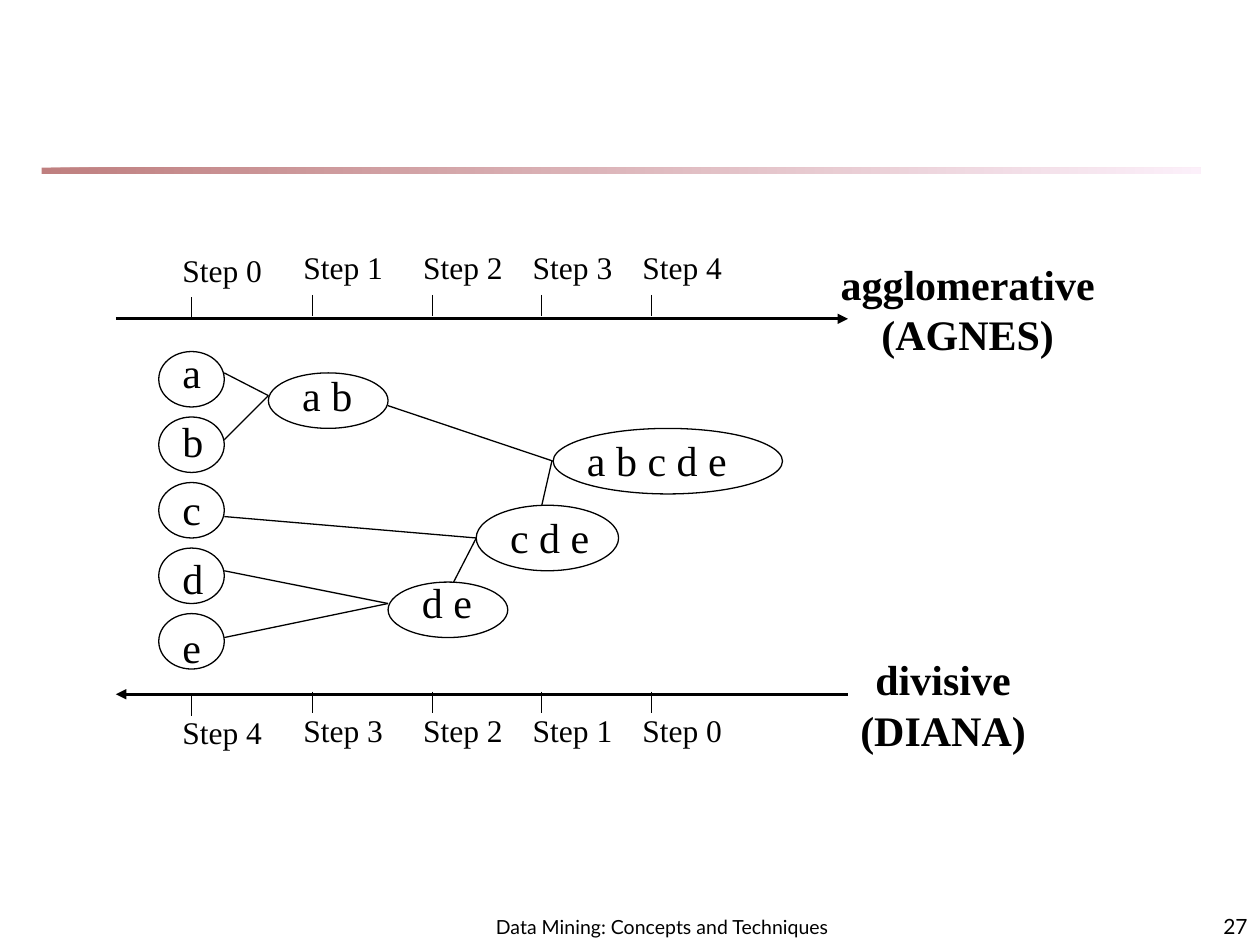
from pptx import Presentation
from pptx.dml.color import RGBColor
from pptx.enum.shapes import MSO_CONNECTOR, MSO_SHAPE
from pptx.enum.text import MSO_ANCHOR, PP_ALIGN
from pptx.oxml.ns import qn
from pptx.util import Inches, Pt
from lxml import etree

LEFT, CENTER, RIGHT = PP_ALIGN.LEFT, PP_ALIGN.CENTER, PP_ALIGN.RIGHT
TOP, BOTTOM = MSO_ANCHOR.TOP, MSO_ANCHOR.BOTTOM
STRAIGHT = MSO_CONNECTOR.STRAIGHT
OVAL, RECTANGLE = MSO_SHAPE.OVAL, MSO_SHAPE.RECTANGLE

BLACK = RGBColor(0x00, 0x00, 0x00)
MAROON = RGBColor(0x80, 0x00, 0x00)
PALE_PINK = RGBColor(0xFA, 0xE2, 0xF6)
SERIF, SANS = "Times New Roman", "Lato"

STEP_XS = [1.52, 2.48, 3.43, 4.3, 5.17]
FIRST_STEP_DROP = 0.02
LABEL_INDENT = 0.17
CLUSTERS = [
    ("a b", (2.13, 2.96, 0.95, 0.44), 2.88),
    ("d e", (3.08, 4.62, 0.95, 0.44), 4.53),
    ("c d e", (3.78, 4.01, 1.13, 0.52), 4.01),
    ("a b c d e", (4.39, 3.4, 1.82, 0.52), 3.4),
]
MERGES = [
    ((1.78, 2.96), (2.13, 3.14)),
    ((1.78, 3.49), (2.13, 3.14)),
    ((1.78, 4.53), (3.08, 4.79)),
    ((1.78, 5.06), (3.08, 4.79)),
    ((1.78, 4.1), (3.78, 4.27)),
    ((3.6, 4.62), (3.78, 4.27)),
    ((3.08, 3.22), (4.39, 3.66)),
    ((4.3, 4.01), (4.38, 3.66)),
]


def add_text(slide, box, text, size=24, font=SERIF, bold=False, align=LEFT,
             anchor=TOP):
    frame = slide.shapes.add_textbox(*map(Inches, box)).text_frame
    frame.word_wrap = True
    frame.vertical_anchor = anchor
    frame.text = text
    for paragraph in frame.paragraphs:
        paragraph.alignment = align
        paragraph.font.size = Pt(size)
        paragraph.font.name = font
        paragraph.font.bold = bold
        paragraph.font.color.rgb = BLACK


def add_line(slide, start, end, width=0.75, arrow=None):
    line = slide.shapes.add_connector(STRAIGHT, *map(Inches, (*start, *end)))
    line.line.color.rgb = BLACK
    line.line.width = Pt(width)
    if arrow:
        outline = line._element.spPr.find(qn("a:ln"))
        etree.SubElement(outline, qn(arrow), type="triangle")
    etree.SubElement(line._element.spPr, qn("a:effectLst"))


def add_ellipse(slide, box):
    ellipse = slide.shapes.add_shape(OVAL, *map(Inches, box))
    ellipse.shadow.inherit = False
    ellipse.fill.background()
    ellipse.line.color.rgb = BLACK
    ellipse.line.width = Pt(0.75)


def add_title_rule(slide, box):
    rule = slide.shapes.add_shape(RECTANGLE, *map(Inches, box))
    rule.shadow.inherit = False
    rule.line.fill.background()
    rule.fill.gradient()
    rule.fill.gradient_angle = 0
    for stop, color in zip(rule.fill.gradient_stops, (MAROON, PALE_PINK)):
        stop.color.rgb = color
    for color in rule._element.spPr.iter(qn("a:srgbClr")):
        etree.SubElement(color, qn("a:alpha"), val="50000")


def add_axis(slide, box, steps, tick_top, label_top, arrow):
    left, top, width = box
    add_line(slide, (left, top), (left + width, top), width=1.5, arrow=arrow)
    for index, (x, step) in enumerate(zip(STEP_XS, steps)):
        drop = FIRST_STEP_DROP if index == 0 else 0
        tick = top + tick_top + drop
        add_line(slide, (x, tick), (x, tick + 0.17))
        label_box = (x - LABEL_INDENT, top + label_top + drop, 0.87, 0.4)
        add_text(slide, label_box, f"Step {step}", size=18)


def add_objects(slide, box):
    left, top, width, height = box
    for index, name in enumerate("abcde"):
        label_box = (left + 0.09, top - 0.09 + index * 0.545, width - 0.09, 0.5)
        add_text(slide, label_box, name)
        add_ellipse(slide, (left, top + index * 0.52, width, height))


def add_cluster(slide, box, name, label_top):
    left, _, width, _ = box
    label_box = (left + LABEL_INDENT, label_top, width - LABEL_INDENT, 0.5)
    add_text(slide, label_box, name)
    add_ellipse(slide, box)


def add_footer(slide, box, number_box):
    add_text(slide, box, "Data Mining: Concepts and Techniques", size=11.1,
             font=SANS, align=CENTER, anchor=BOTTOM)
    add_text(slide, number_box, "27", size=12, font=SANS, align=RIGHT,
             anchor=BOTTOM)


def main():
    deck = Presentation()
    deck.slide_width, deck.slide_height = Inches(10), Inches(7.5)
    slide = deck.slides.add_slide(deck.slide_layouts[6])

    add_title_rule(slide, (0.33, 1.33, 9.2, 0.05))
    add_footer(slide, (3.67, 7.08, 3.17, 0.42), (7.92, 7.08, 2.08, 0.42))
    add_axis(slide, (0.92, 2.53, 5.81), range(5), -0.19, -0.61, "a:tailEnd")
    add_objects(slide, (1.26, 2.79, 0.52, 0.44))
    for name, box, label_top in CLUSTERS:
        add_cluster(slide, box, name, label_top)
    add_axis(slide, (0.92, 5.51, 5.81), reversed(range(5)), -0.02, 0.08,
             "a:headEnd")
    for start, end in MERGES:
        add_line(slide, start, end)
    for text, box in (("agglomerative\n(AGNES)", (6.52, 2, 2.32, 0.9)),
                      ("divisive\n(DIANA)", (6.63, 5.14, 1.71, 0.9))):
        add_text(slide, box, text, bold=True, align=CENTER)

    deck.save("out.pptx")


if __name__ == "__main__":
    main()
